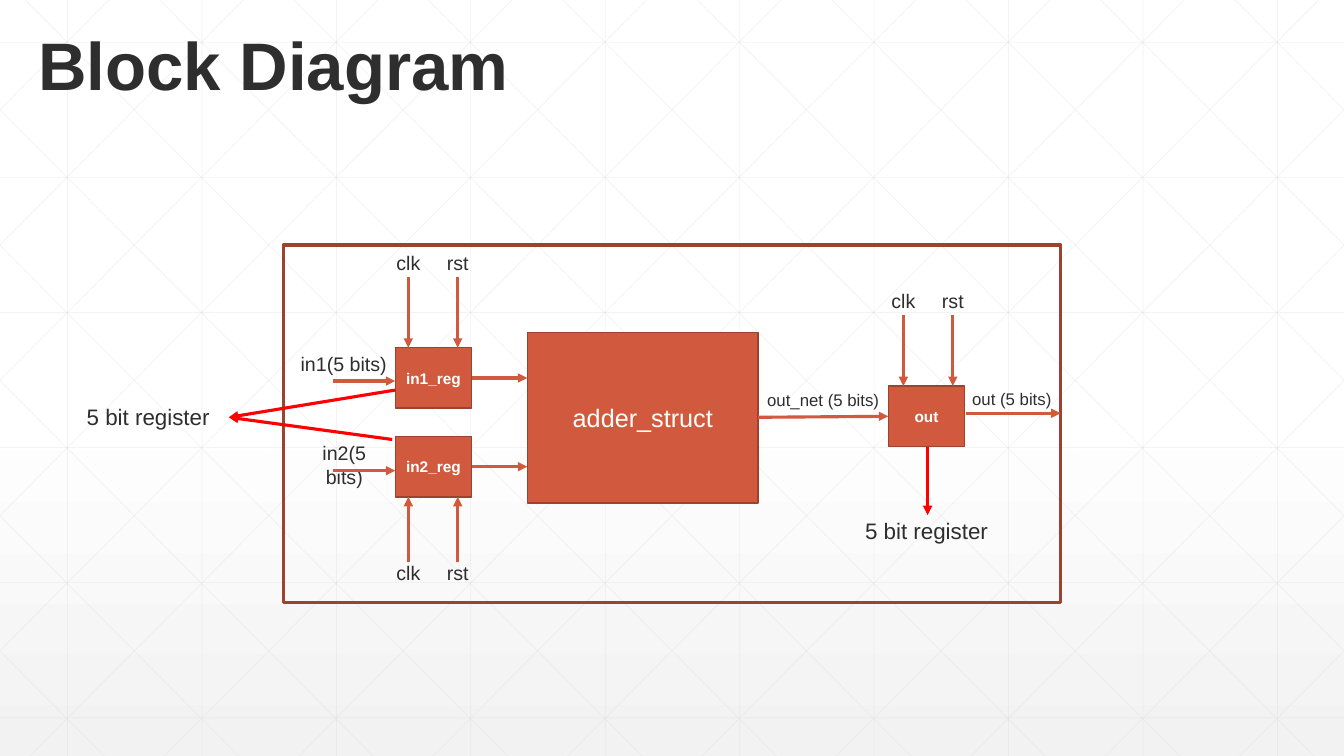
from copy import deepcopy

from lxml import etree
from pptx import Presentation
from pptx.dml.color import RGBColor
from pptx.enum.shapes import MSO_CONNECTOR, MSO_SHAPE
from pptx.enum.text import MSO_ANCHOR, PP_ALIGN
from pptx.oxml.ns import qn
from pptx.util import Inches, Pt

STRAIGHT = MSO_CONNECTOR.STRAIGHT
RECTANGLE = MSO_SHAPE.RECTANGLE
TOP = MSO_ANCHOR.TOP
MIDDLE = MSO_ANCHOR.MIDDLE
LEFT = PP_ALIGN.LEFT
CENTER = PP_ALIGN.CENTER

WHITE = RGBColor(0xFF, 0xFF, 0xFF)
PALE = RGBColor(0xF2, 0xF2, 0xF2)
GRID = RGBColor(0xD9, 0xD9, 0xD9)
INK = RGBColor(0x2D, 0x2E, 0x2D)
RUST = RGBColor(0xD1, 0x5A, 0x3E)
DARK_RUST = RGBColor(0x9B, 0x43, 0x2E)
RED = RGBColor(0xFF, 0x00, 0x00)

WIDTH, HEIGHT = 13.33, 7.5

deck = Presentation()
deck.slide_width = Inches(WIDTH)
deck.slide_height = Inches(HEIGHT)
page = deck.slides.add_slide(deck.slide_layouts[6])


def add_line(x1, y1, x2, y2, color, width=2.25, arrow=True):
    line = page.shapes.add_connector(
        STRAIGHT, Inches(x1), Inches(y1), Inches(x2), Inches(y2))
    line.line.color.rgb = color
    line.line.width = Pt(width)
    properties = line._element.spPr
    outline = properties.find(qn("a:ln"))
    if arrow:
        etree.SubElement(outline, qn("a:tailEnd"), type="triangle")
    else:
        shade = outline.find(".//" + qn("a:srgbClr"))
        etree.SubElement(shade, qn("a:alpha"), val="30000")
    etree.SubElement(properties, qn("a:effectLst"))


def set_text(box, text, size, color=INK, bold=False, anchor=TOP,
             align=CENTER, spacing=1.0):
    frame = box.text_frame
    frame.text = text
    frame.word_wrap = True
    frame.vertical_anchor = anchor
    paragraph = frame.paragraphs[0]
    paragraph.alignment = align
    paragraph.line_spacing = spacing
    font = paragraph.runs[0].font
    font.name = "Arial"
    font.size = Pt(size)
    font.bold = bold
    font.color.rgb = color


backdrop = page.background.fill
backdrop.gradient()
backdrop.gradient_angle = 270
stop_list = page._element.find(".//" + qn("a:gsLst"))
stop_list.append(deepcopy(stop_list[-1]))
for stop, (position, color) in zip(
        backdrop.gradient_stops, [(0, WHITE), (0.53, WHITE), (1, PALE)]):
    stop.position = position
    stop.color.rgb = color

STEP = 4 / 3
RUN = 7.45
SLOPE = HEIGHT / RUN
grid_lines = []
for column in range(10):
    x = 0.67 + column * STEP
    grid_lines.append((x, 0, x, HEIGHT))
for row in range(6):
    y = 0.42 + row * 1.34
    grid_lines.append((0, y, WIDTH, y))
for diagonal in range(-5, 10):
    start = 0.25 + diagonal * STEP
    x1, x2 = max(start, 0), min(start + RUN, WIDTH)
    y1, y2 = (x1 - start) * SLOPE, (x2 - start) * SLOPE
    grid_lines.append((x1, y1, x2, y2))
    grid_lines.append((WIDTH - x1, y1, WIDTH - x2, y2))
for ends in grid_lines:
    add_line(*ends, GRID, 0.5, arrow=False)

title = page.shapes.add_textbox(
    Inches(0.28), Inches(0.31), Inches(6.38), Inches(0.79))
set_text(title, "Block Diagram", 48, bold=True, anchor=MIDDLE,
         align=LEFT, spacing=0.8)

module = page.shapes.add_shape(
    RECTANGLE, Inches(2.81), Inches(2.43), Inches(7.71), Inches(3.55))
module.shadow.inherit = False
module.fill.background()
module.line.color.rgb = DARK_RUST
module.line.width = Pt(2.25)

blocks = [
    ("adder_struct", 5.23, 3.3, 2.29, 1.69, 18, False),
    ("in1_reg", 3.92, 3.45, 0.76, 0.6, 11, True),
    ("in2_reg", 3.92, 4.33, 0.76, 0.6, 11, True),
    ("out", 8.81, 3.83, 0.76, 0.6, 11, True),
]
for name, left, top, width, height, size, bold in blocks:
    block = page.shapes.add_shape(
        RECTANGLE, Inches(left), Inches(top), Inches(width), Inches(height))
    block.shadow.inherit = False
    block.fill.solid()
    block.fill.fore_color.rgb = RUST
    block.line.color.rgb = DARK_RUST
    block.line.width = Pt(1)
    set_text(block, name, size, WHITE, bold, MIDDLE)

labels = [
    ("in1(5 bits)", 2.81, 3.44, 1.2, 14),
    ("in2(5 bits)", 2.89, 4.33, 1.05, 14),
    ("out_net (5 bits)", 7.48, 3.82, 1.37, 12),
    ("out (5 bits)", 9.49, 3.81, 1.09, 12),
]
control_inputs = [
    (4.05, 2.75, 3.45, 2.44),
    (4.05, 5.58, 4.93, 5.52),
    (8.96, 3.13, 3.83, 2.82),
]
for clock_x, start, end, label_top in control_inputs:
    for name, x in [("clk", clock_x), ("rst", clock_x + 0.49)]:
        add_line(x, start, x, end, RUST)
        labels.append((name, x - 0.31, label_top, 0.62, 14))

for text, left, top, width, size in labels:
    label = page.shapes.add_textbox(
        Inches(left), Inches(top), Inches(width), Inches(0.34))
    set_text(label, text, size)

data_arrows = [
    (3.3, 3.78, 3.92, 3.78),
    (3.3, 4.67, 3.92, 4.67),
    (4.68, 3.75, 5.23, 3.75),
    (4.68, 4.63, 5.23, 4.63),
    (7.52, 4.14, 8.81, 4.13),
    (9.58, 4.1, 10.52, 4.1),
]
for ends in data_arrows:
    add_line(*ends, RUST)

note_arrows = [
    (3.92, 3.87, 2.27, 4.14),
    (3.89, 4.36, 2.27, 4.14),
    (9.2, 4.43, 9.2, 5.11),
]
for ends in note_arrows:
    add_line(*ends, RED)

for left, top in [(0.67, 3.97), (8.39, 5.11)]:
    note = page.shapes.add_textbox(
        Inches(left), Inches(top), Inches(1.6), Inches(0.35))
    set_text(note, "5 bit register", 16, anchor=MIDDLE, spacing=0.9)

deck.save("out.pptx")
